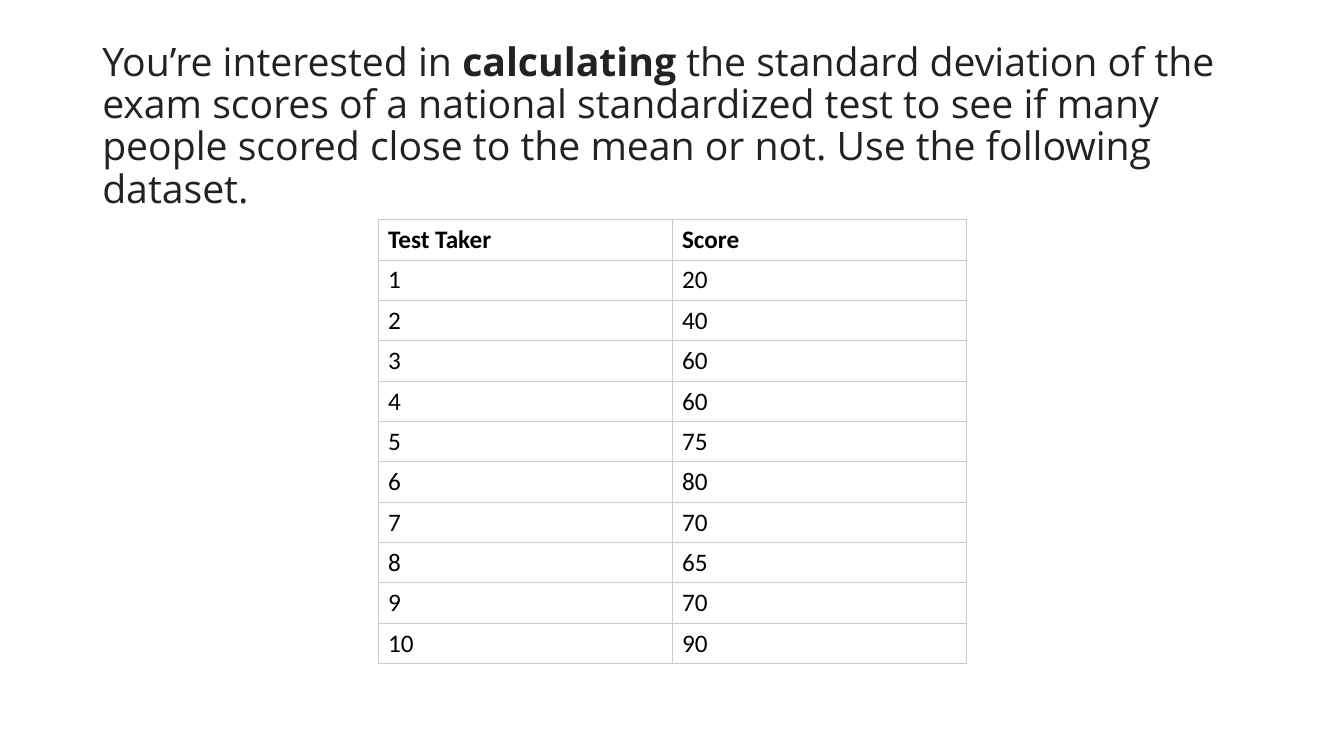
from lxml import etree
from pptx import Presentation
from pptx import util as u
from pptx.dml.color import RGBColor
from pptx.enum import text
from pptx.oxml import ns

INK = RGBColor(0x22, 0x22, 0x22)
BLACK = RGBColor(0, 0, 0)
WHITE = RGBColor(0xFF, 0xFF, 0xFF)
GRID = RGBColor(0xCC, 0xCC, 0xCC)

PROMPT = [
    ("You’re interested in\u00a0", False),
    ("calculating", True),
    ("\u00a0the standard deviation of the exam scores of a national "
     "standardized test to see if many people scored close to the mean "
     "or not. Use the following dataset.", False),
]
SCORES = [20, 40, 60, 60, 75, 80, 70, 65, 70, 90]


class Deck:
    """Holds the text styles and the current slide."""

    prompt = {"name": "Open Sans", "size": u.Pt(28), "color": INK}
    entry = {"name": "Calibri", "size": u.Pt(18), "color": BLACK}

    def __init__(self, slide):
        self.slide = slide

    def label(self, para, words, style, bold=False):
        run = para.add_run()
        run.text = words
        for key, value in {**style, "bold": bold}.items():
            if key == "color":
                run.font.color.rgb = value
            else:
                setattr(run.font, key, value)

    def text(self, runs, left, top, width, height):
        box = self.slide.shapes.add_textbox(*map(u.Pt, (left, top, width, height)))
        box.text_frame.word_wrap = True
        para = box.text_frame.paragraphs[0]
        for key, value in {"line_spacing": 0.9, "space_before": u.Pt(10)}.items():
            setattr(para, key, value)
        for words, bold in runs:
            self.label(para, words, self.prompt, bold)

    def edge(self, cell):
        props = cell._tc.get_or_add_tcPr()
        for place, side in enumerate(("lnL", "lnR", "lnT", "lnB")):
            line = etree.Element(ns.qn("a:" + side), w=str(u.Pt(0.6)))
            fill = etree.SubElement(line, ns.qn("a:solidFill"))
            etree.SubElement(fill, ns.qn("a:srgbClr"), val=str(GRID))
            props.insert(place, line)

    def table(self, rows, left, top, width, height):
        frame = self.slide.shapes.add_table(
            len(rows), len(rows[0]), *map(u.Pt, (left, top, width, height)))
        for r, row in enumerate(rows):
            for c, value in enumerate(row):
                cell = frame.table.cell(r, c)
                cell.vertical_anchor = text.MSO_ANCHOR.MIDDLE
                cell.fill.solid()
                cell.fill.fore_color.rgb = WHITE
                self.edge(cell)
                self.label(cell.text_frame.paragraphs[0], str(value),
                           self.entry, bold=r == 0)


def main():
    show = Presentation()
    show.slide_width, show.slide_height = u.Pt(960), u.Pt(540)
    deck = Deck(show.slides.add_slide(show.slide_layouts[6]))

    # Task
    deck.text(PROMPT, 66, 26.6, 828, 460)

    # Scores by test taker
    rows = [("Test Taker", "Score"), *enumerate(SCORES, 1)]
    deck.table(rows, 270, 156.8, 420, 28.8 * len(rows))

    show.save("out.pptx")


if __name__ == "__main__":
    main()
